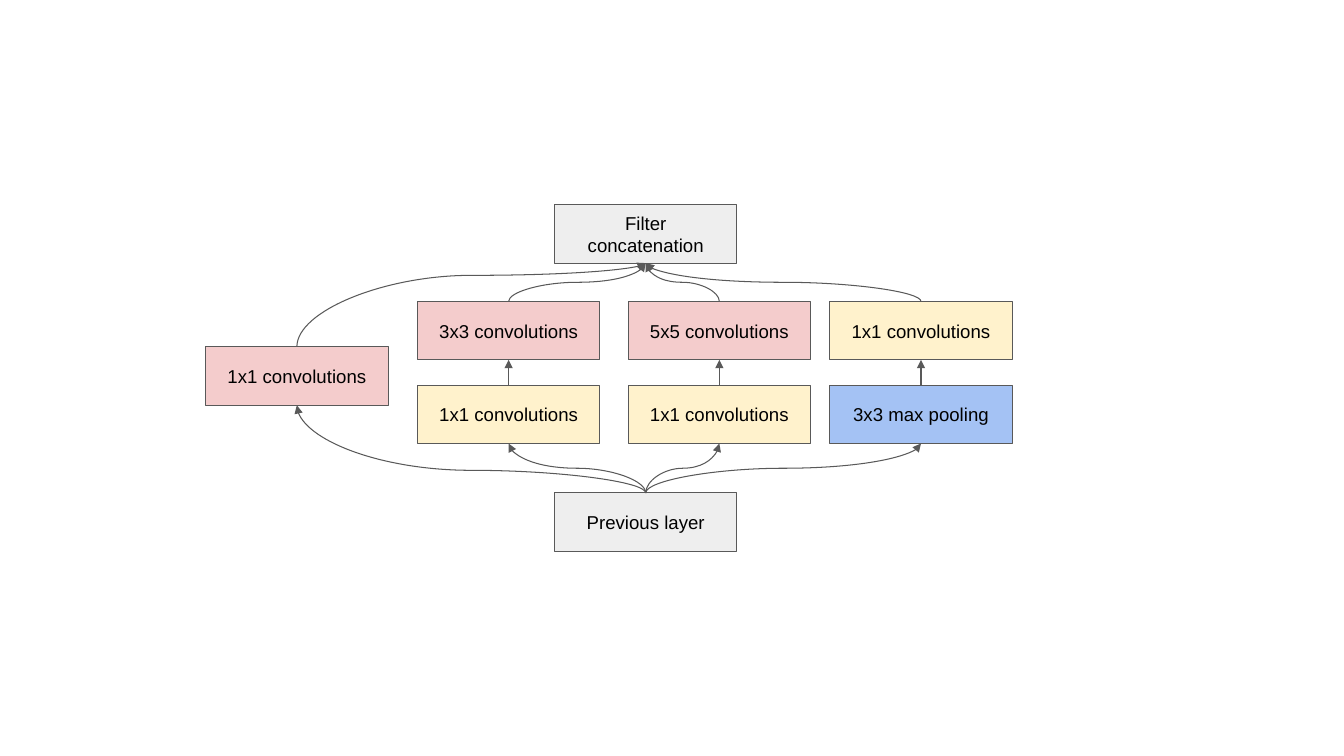
"""Build a slide with the block diagram of an inception module."""
from dataclasses import dataclass

from lxml.etree import SubElement as Sub
from pptx import Presentation
from pptx.dml.color import RGBColor as RGB
from pptx.enum.shapes import MSO_CONNECTOR as LINK, MSO_SHAPE as FORM
from pptx.enum.text import MSO_ANCHOR as ANCHOR, PP_ALIGN as ALIGN
from pptx.oxml.ns import qn
from pptx.shapes.autoshape import Shape
from pptx.shapes.connector import Connector
from pptx.slide import Slide
from pptx.util import Inches, Pt

GRAY = RGB(0xEE, 0xEE, 0xEE)
PINK = RGB(0xF4, 0xCC, 0xCC)
CREAM = RGB(0xFF, 0xF2, 0xCC)
BLUE = RGB(0xA4, 0xC2, 0xF4)
EDGE = RGB(0x59, 0x59, 0x59)
BLACK = RGB(0, 0, 0)
WIDE, HIGH, PAD = Inches(1.81), Inches(0.58), Inches(0.13)
UPPER, LOWER = 2.99, 3.82
TOP, BOTTOM = 0, 2


@dataclass(frozen=True)
class Block:
    label: str
    left: float
    top: float
    fill: RGB


@dataclass(frozen=True)
class Arrow:
    start: str
    end: str
    bend: float = 0.5


BLOCKS = {
    "input": Block("Previous layer", 5.5, 4.89, GRAY),
    "single": Block("1x1 convolutions", 2.04, 3.44, PINK),
    "reduce3": Block("1x1 convolutions", 4.14, LOWER, CREAM),
    "conv3": Block("3x3 convolutions", 4.14, UPPER, PINK),
    "reduce5": Block("1x1 convolutions", 6.23, LOWER, CREAM),
    "conv5": Block("5x5 convolutions", 6.23, UPPER, PINK),
    "pool": Block("3x3 max pooling", 8.23, LOWER, BLUE),
    "project": Block("1x1 convolutions", 8.23, UPPER, CREAM),
    "concat": Block("Filter concatenation", 5.5, 2.03, GRAY),
}
ARROWS = [
    Arrow("input", "reduce3"),
    Arrow("input", "single", 0.258),
    Arrow("input", "reduce5"),
    Arrow("input", "pool"),
    Arrow("reduce3", "conv3"),
    Arrow("reduce5", "conv5"),
    Arrow("pool", "project"),
    Arrow("single", "concat", 0.854),
    Arrow("conv3", "concat"),
    Arrow("conv5", "concat"),
    Arrow("project", "concat"),
]


def write(shape: Shape, text: str, *, size: float = 13.3, font: str = "Arial",
          color: RGB = BLACK, align: ALIGN = ALIGN.CENTER) -> None:
    frame = shape.text_frame
    frame.word_wrap = True
    frame.vertical_anchor = ANCHOR.MIDDLE
    frame.margin_left = frame.margin_right = PAD
    frame.margin_top = frame.margin_bottom = PAD
    para = frame.paragraphs[0]
    para.alignment = align
    run = para.add_run()
    run.text = text
    run.font.size = Pt(size)
    run.font.name = font
    run.font.color.rgb = color


def outline(item: Shape | Connector) -> None:
    item.line.color.rgb = EDGE
    item.line.width = Pt(0.75)


def draw_block(slide: Slide, block: Block) -> Shape:
    shape = slide.shapes.add_shape(
        FORM.RECTANGLE, Inches(block.left), Inches(block.top), WIDE, HIGH)
    shape.shadow.inherit = False
    shape.fill.solid()
    shape.fill.fore_color.rgb = block.fill
    outline(shape)
    write(shape, block.label)
    return shape


def draw_arrow(slide: Slide, start: Shape, end: Shape, bend: float) -> None:
    x1, y1 = start.left + start.width // 2, start.top
    x2, y2 = end.left + end.width // 2, end.top + end.height
    link = slide.shapes.add_connector(LINK.CURVE, x1, y1, x2, y2)
    link.begin_connect(start, TOP)
    link.end_connect(end, BOTTOM)
    turn(link, x1, y1, x2, y2)
    props = link._element.spPr
    guides = props.find(qn("a:prstGeom")).find(qn("a:avLst"))
    Sub(guides, qn("a:gd"), name="adj1", fmla=f"val {round(bend * 100000)}")
    outline(link)
    Sub(props.find(qn("a:ln")), qn("a:tailEnd"), type="triangle")
    Sub(props, qn("a:effectLst"))


def turn(link: Connector, x1: int, y1: int, x2: int, y2: int) -> None:
    """Rotate the curve so that it leaves and arrives vertically."""
    link.width, link.height = y1 - y2, abs(x2 - x1)
    link.left = (x1 + x2 - link.width) // 2
    link.top = (y1 + y2 - link.height) // 2
    frame = link._element.spPr.find(qn("a:xfrm"))
    left = x2 < x1
    frame.set("rot", "5400000" if left else "16200000")
    frame.set("flipH", "1" if left else "0")
    frame.set("flipV", "0")


def main() -> None:
    deck = Presentation()
    deck.slide_width, deck.slide_height = Inches(13.33), Inches(7.5)
    slide = deck.slides.add_slide(deck.slide_layouts[6])
    shapes = {name: draw_block(slide, block) for name, block in BLOCKS.items()}
    for arrow in ARROWS:
        draw_arrow(slide, shapes[arrow.start], shapes[arrow.end], arrow.bend)
    deck.save("out.pptx")


if __name__ == "__main__":
    main()
